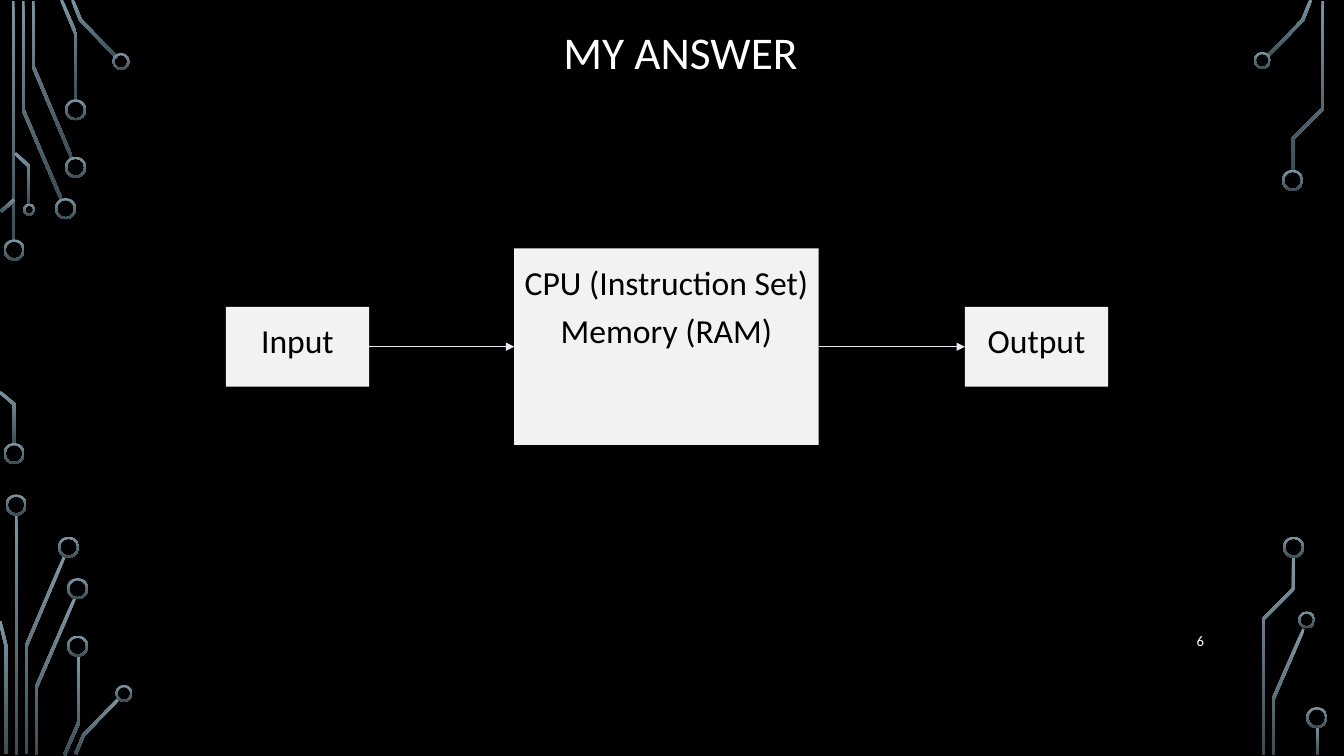
import math
from dataclasses import dataclass

from lxml import etree
from pptx import Presentation
from pptx.dml.color import RGBColor
from pptx.enum.shapes import MSO_CONNECTOR, MSO_SHAPE
from pptx.enum.text import MSO_ANCHOR, MSO_AUTO_SIZE, PP_ALIGN
from pptx.oxml.ns import qn
from pptx.util import Inches, Pt

RECTANGLE, DONUT = MSO_SHAPE.RECTANGLE, MSO_SHAPE.DONUT
STRAIGHT = MSO_CONNECTOR.STRAIGHT
TOP, MIDDLE = MSO_ANCHOR.TOP, MSO_ANCHOR.MIDDLE
CENTER, RIGHT = PP_ALIGN.CENTER, PP_ALIGN.RIGHT
NO_AUTOFIT = MSO_AUTO_SIZE.NONE
LEFT_SIDE, RIGHT_SIDE = 1, 3
TITLE_ONLY = 5


@dataclass(frozen=True)
class Theme:
    font: str = "Calibri"
    background: str = "000000"
    light_text: str = "FFFFFF"
    dark_text: str = "000000"
    box: str = "F2F2F2"
    arrow: str = "E6E9EE"
    circuit_top: str = "7C96A3"
    circuit_bottom: str = "3B4C54"
    title_size: float = 32.4
    box_size: float = 24
    number_size: float = 10.5
    arrow_width: float = 0.75
    trace_width: float = 0.03
    ring_width: float = 0.02


@dataclass(frozen=True)
class Ring:
    x: float
    y: float
    diameter: float = 0.21


@dataclass(frozen=True)
class Box:
    lines: tuple[str, ...]
    left: float
    width: float
    height: float


THEME = Theme()
FLOW_CENTER_Y = 3.44

TRACES = [
    # top left
    [(0.13, 0.01), (0.13, 2.4)],
    [(0.23, 0.01), (0.23, 1.09), (0.61, 1.98)],
    [(0.33, 0.01), (0.33, 0.66), (0.71, 1.56)],
    [(0.61, 0), (0.75, 0.33), (0.75, 1)],
    [(0.72, 0), (0.8, 0.2), (1.16, 0.57)],
    [(0.01, 2.1), (0.14, 1.98)],
    [(0, 3.89), (0.14, 4.01), (0.14, 4.41)],
    [(0.15, 1.52), (0.29, 1.65), (0.29, 2.03)],
    # bottom left
    [(0.16, 5.1), (0.16, 7.49)],
    [(0.64, 5.52), (0.26, 6.41), (0.26, 7.48)],
    [(0, 6.16), (0.06, 6.41), (0.06, 7.48)],
    [(0.74, 5.94), (0.36, 6.82), (0.36, 7.49)],
    [(0.78, 6.5), (0.78, 7.17), (0.64, 7.49)],
    [(1.18, 6.93), (0.83, 7.29), (0.75, 7.48)],
    # top right
    [(13, 0), (12.92, 0.2), (12.57, 0.56)],
    [(13.12, 0.01), (13.12, 1.08), (12.82, 1.38), (12.82, 1.69)],
    # bottom right
    [(12.93, 6.24), (12.63, 6.93), (12.63, 7.49)],
    [(12.83, 5.52), (12.83, 5.84), (12.53, 6.14), (12.53, 7.49)],
    [(13.07, 7.21), (13.07, 7.49)],
]

RINGS = [
    Ring(0.14, 2.48), Ring(0.14, 4.5), Ring(0.65, 2.07), Ring(0.75, 1.66),
    Ring(0.75, 1.09), Ring(1.2, 0.61, 0.17), Ring(0.29, 2.08, 0.12),
    Ring(0.16, 5.01), Ring(0.68, 5.43), Ring(0.77, 5.84), Ring(0.77, 6.41),
    Ring(1.23, 6.88, 0.17),
    Ring(12.52, 0.6, 0.17), Ring(12.82, 1.79),
    Ring(12.96, 6.15, 0.17), Ring(12.83, 5.43), Ring(13.06, 7.12),
]

BOXES = [
    Box(("Input",), 2.24, 1.42, 0.79),
    Box(("CPU (Instruction Set)", "Memory (RAM)"), 5.1, 3.02, 1.95),
    Box(("Output",), 9.57, 1.42, 0.79),
]


def color(value: str) -> RGBColor:
    return RGBColor.from_string(value)


def style_circuit(sp) -> None:
    sp.shadow.inherit = False
    sp.line.fill.background()
    sp.fill.gradient()
    sp.fill.gradient_angle = 270
    for stop, value in zip(sp.fill.gradient_stops, (THEME.circuit_top, THEME.circuit_bottom)):
        stop.color.rgb = color(value)
    for position, stop in enumerate(sp.fill.gradient_stops):
        stop.position = position


def trace_outline(points: list) -> list:
    """Widen a centre line into a band with mitred corners."""
    normals = []
    for (x0, y0), (x1, y1) in zip(points, points[1:]):
        length = math.hypot(x1 - x0, y1 - y0)
        normals.append(((y0 - y1) / length, (x1 - x0) / length))
    before, after = normals[:1] + normals, normals + normals[-1:]
    left, right = [], []
    for (x, y), (ax, ay), (bx, by) in zip(points, before, after):
        reach = THEME.trace_width / 2 / (1 + ax * bx + ay * by)
        dx, dy = (ax + bx) * reach, (ay + by) * reach
        left.append((Inches(x + dx), Inches(y + dy)))
        right.append((Inches(x - dx), Inches(y - dy)))
    return left + right[::-1]


def add_trace(slide, points: list) -> None:
    start, *rest = trace_outline(points)
    builder = slide.shapes.build_freeform(*start)
    builder.add_line_segments(rest, close=True)
    style_circuit(builder.convert_to_shape())


def add_ring(slide, ring: Ring) -> None:
    size, radius = Inches(ring.diameter), ring.diameter / 2
    sp = slide.shapes.add_shape(DONUT, Inches(ring.x - radius), Inches(ring.y - radius), size, size)
    sp.adjustments[0] = THEME.ring_width / ring.diameter
    style_circuit(sp)


def write_text(sp, lines: tuple[str, ...], size: float, ink: str, align, anchor):
    tf = sp.text_frame
    tf.word_wrap = True
    tf.auto_size = NO_AUTOFIT
    tf.vertical_anchor = anchor
    p = tf.paragraphs[0]
    p.alignment = align
    for index, line in enumerate(lines):
        if index:
            p.add_line_break()
        r = p.add_run()
        r.text = line
        r.font.name = THEME.font
        r.font.size = Pt(size)
        r.font.color.rgb = color(ink)
    return p


def add_box(slide, box: Box):
    sp = slide.shapes.add_shape(RECTANGLE, Inches(box.left), Inches(FLOW_CENTER_Y - box.height / 2),
                                Inches(box.width), Inches(box.height))
    sp.shadow.inherit = False
    sp.fill.solid()
    sp.fill.fore_color.rgb = color(THEME.box)
    sp.line.fill.background()
    p = write_text(sp, box.lines, THEME.box_size, THEME.dark_text, CENTER, TOP)
    p.line_spacing = 1.2
    p.space_before = Pt(10)
    sp.text_frame.margin_left = sp.text_frame.margin_right = Inches(0.05)
    return sp


def add_arrow(slide, source, target) -> None:
    arrow = slide.shapes.add_connector(STRAIGHT, 0, 0, 0, 0)
    arrow.begin_connect(source, RIGHT_SIDE)
    arrow.end_connect(target, LEFT_SIDE)
    arrow.line.color.rgb = color(THEME.arrow)
    arrow.line.width = Pt(THEME.arrow_width)
    etree.SubElement(arrow.line._get_or_add_ln(), qn("a:tailEnd"), type="triangle")
    etree.SubElement(arrow._element.spPr, qn("a:effectLst"))


def main() -> None:
    prs = Presentation()
    prs.slide_width, prs.slide_height = Inches(13.33), Inches(7.5)
    slide = prs.slides.add_slide(prs.slide_layouts[TITLE_ONLY])
    slide.background.fill.solid()
    slide.background.fill.fore_color.rgb = color(THEME.background)

    for points in TRACES:
        add_trace(slide, points)
    for ring in RINGS:
        add_ring(slide, ring)

    title = slide.shapes.title
    title.left, title.top, title.width, title.height = map(Inches, (1.04, 0.23, 11.42, 0.63))
    p = write_text(title, ("MY ANSWER",), THEME.title_size, THEME.light_text, CENTER, MIDDLE)
    p.line_spacing = 0.9
    number = slide.shapes.add_textbox(*map(Inches, (11.2, 6.16, 0.84, 0.4)))
    write_text(number, ("6",), THEME.number_size, THEME.light_text, RIGHT, MIDDLE)

    boxes = [add_box(slide, box) for box in BOXES]
    for source, target in zip(boxes, boxes[1:]):
        add_arrow(slide, source, target)
    prs.save("out.pptx")


if __name__ == "__main__":
    main()
